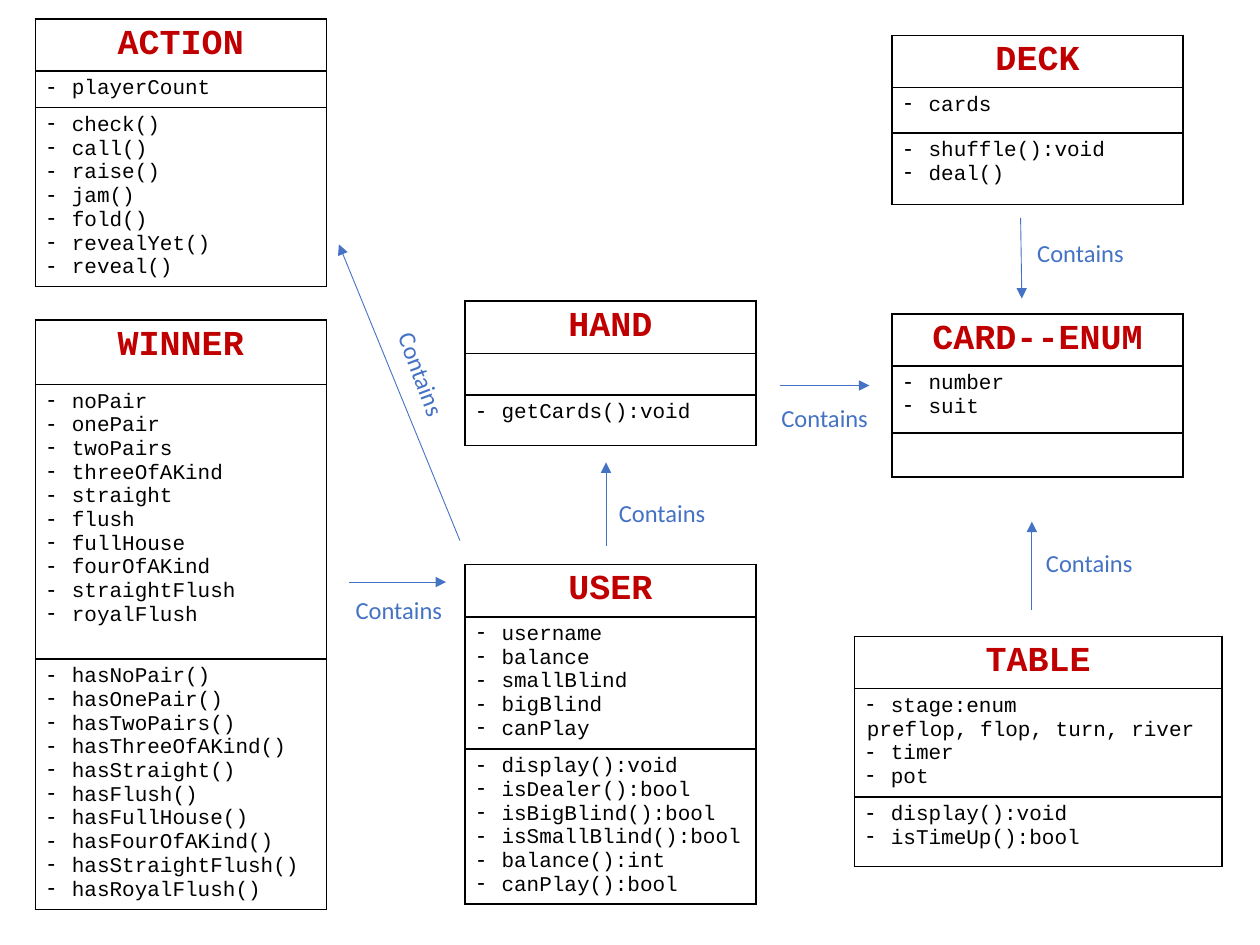
import lxml.etree
import pptx
import pptx.dml.color
import pptx.enum.shapes
import pptx.enum.text
import pptx.oxml.ns
import pptx.util

GRID_COLUMNS, GRID_ROWS = 100, 75
SLIDE_WIDTH = pptx.util.Inches(10)
SLIDE_HEIGHT = pptx.util.Inches(7.5)

BLACK = pptx.dml.color.RGBColor(0x00, 0x00, 0x00)
WHITE = pptx.dml.color.RGBColor(0xFF, 0xFF, 0xFF)
RED = pptx.dml.color.RGBColor(0xC0, 0x00, 0x00)
BLUE = pptx.dml.color.RGBColor(0x44, 0x72, 0xC4)

CLASS_NAME = {"name": "Courier New", "size": pptx.util.Pt(20), "bold": True}
MEMBER = {"name": "Courier New", "size": pptx.util.Pt(12), "bold": False}
RELATION = {"name": "Calibri", "size": pptx.util.Pt(14)}
LABEL_FRAME = {
    "margin_left": pptx.util.Inches(0.1),
    "margin_right": pptx.util.Inches(0.1),
    "margin_top": pptx.util.Inches(0.05),
    "margin_bottom": pptx.util.Inches(0.05),
    "word_wrap": False,
    "auto_size": pptx.enum.text.MSO_AUTO_SIZE.SHAPE_TO_FIT_TEXT,
}
PLAIN_TABLE = {"first_row": False, "horz_banding": False}

NAME_ROW = 4.1
CLASS_WIDTH = 23.1
LABEL_WIDTH, LABEL_HEIGHT = 8.9, 3.4
INDENT = pptx.util.Inches(0.19)
UNBULLETED = {"preflop, flop, turn, river"}

CLASSES = [
    ("USER", (36.9, 44.8, CLASS_WIDTH), (10.5, 12.3),
     ["username", "balance", "smallBlind", "bigBlind", "canPlay"],
     ["display():void", "isDealer():bool", "isBigBlind():bool",
      "isSmallBlind():bool", "balance():int", "canPlay():bool"]),
    ("CARD--ENUM", (70.8, 24.9, CLASS_WIDTH), (5.3, 3.5),
     ["number", "suit"], []),
    ("DECK", (70.8, 2.8, CLASS_WIDTH), (3.6, 5.7),
     ["cards"], ["shuffle():void", "deal()"]),
    ("WINNER", (2.8, 25.4, CLASS_WIDTH, 5.1), (21.8, 19.9),
     ["noPair", "onePair", "twoPairs", "threeOfAKind", "straight", "flush",
      "fullHouse", "fourOfAKind", "straightFlush", "royalFlush"],
     ["hasNoPair()", "hasOnePair()", "hasTwoPairs()", "hasThreeOfAKind()",
      "hasStraight()", "hasFlush()", "hasFullHouse()", "hasFourOfAKind()",
      "hasStraightFlush()", "hasRoyalFlush()"]),
    ("HAND", (36.9, 23.9, CLASS_WIDTH), (3.3, 4),
     [], ["getCards():void"]),
    ("ACTION", (2.8, 1.5, CLASS_WIDTH), (2.9, 14.2),
     ["playerCount"],
     ["check()", "call()", "raise()", "jam()", "fold()", "revealYet()",
      "reveal()"]),
    ("TABLE", (67.8, 50.5, 29.2), (8.6, 5.5),
     ["stage:enum", "preflop, flop, turn, river", "timer", "pot"],
     ["display():void", "isTimeUp():bool"]),
]

RELATIONS = [
    ((81, 17.3), (81.1, 23.7), (81.3, 18.4), 0),
    ((81.9, 48.4), (81.9, 41.4), (82, 43), 0),
    ((48.1, 43.3), (48.1, 36.7), (48.1, 39), 0),
    ((61.9, 30.6), (69, 30.6), (61, 31.5), 0),
    ((36.5, 42.9), (26.9, 19.4), (29, 28), 69.5),
    ((27.7, 46.2), (35.4, 46.2), (27.2, 46.7), 0),
]


def columns(count):
    """Return the width of a number of grid columns."""
    return round(SLIDE_WIDTH * count / GRID_COLUMNS)


def rows(count):
    """Return the height of a number of grid rows."""
    return round(SLIDE_HEIGHT * count / GRID_ROWS)


def apply(target, formats):
    """Set each attribute named in a dict of format values."""
    for attribute, setting in formats.items():
        setattr(target, attribute, setting)


def add_element(parent, tag, **attributes):
    """Append a DrawingML element to its parent."""
    return lxml.etree.SubElement(parent, pptx.oxml.ns.qn(tag), **attributes)


def write_run(paragraph, wording, formats, color):
    """Add a formatted run to a paragraph."""
    run = paragraph.add_run()
    run.text = wording
    apply(run.font, formats)
    run.font.color.rgb = color


def frame_cell(cell):
    """Give a table cell a thin black frame and a white fill."""
    properties = cell._tc.get_or_add_tcPr()
    for side in ("a:lnL", "a:lnR", "a:lnT", "a:lnB"):
        edge = add_element(properties, side, w=str(pptx.util.Pt(1)))
        add_element(add_element(edge, "a:solidFill"), "a:srgbClr", val=str(BLACK))
    cell.fill.solid()
    cell.fill.fore_color.rgb = WHITE


def list_members(cell, members):
    """Write the members of a class as a dashed list."""
    first = cell.text_frame.paragraphs[0]
    if not members:
        add_element(first._p, "a:endParaRPr", sz="1200")
    for index, member in enumerate(members):
        paragraph = cell.text_frame.add_paragraph() if index else first
        if member not in UNBULLETED:
            properties = paragraph._p.get_or_add_pPr()
            properties.set("marL", str(INDENT))
            properties.set("indent", str(-INDENT))
            add_element(properties, "a:buFontTx")
            add_element(properties, "a:buChar", char="-")
        write_run(paragraph, member, MEMBER, BLACK)


def draw_class(slide, name, box, member_rows, fields, methods):
    """Draw a class as a table of name, fields and methods."""
    left, top, width, name_row = (*box, NAME_ROW)[:4]
    heights = (name_row, *member_rows)
    table = slide.shapes.add_table(
        len(heights), 1, columns(left), rows(top), columns(width), rows(sum(heights))
    ).table
    apply(table, PLAIN_TABLE)
    for row, height in zip(table.rows, heights):
        row.height = rows(height)
        frame_cell(row.cells[0])
    heading = table.cell(0, 0).text_frame.paragraphs[0]
    heading.alignment = pptx.enum.text.PP_ALIGN.CENTER
    write_run(heading, name, CLASS_NAME, RED)
    list_members(table.cell(1, 0), fields)
    list_members(table.cell(2, 0), methods)


def draw_relation(slide, start, end, corner, rotation):
    """Draw an arrow between two classes with its label."""
    arrow = slide.shapes.add_connector(
        pptx.enum.shapes.MSO_CONNECTOR.STRAIGHT,
        columns(start[0]), rows(start[1]), columns(end[0]), rows(end[1]),
    )
    arrow.line.color.rgb = BLUE
    arrow.line.width = pptx.util.Pt(0.5)
    add_element(arrow.line._get_or_add_ln(), "a:tailEnd", type="triangle")
    add_element(arrow._element.spPr, "a:effectLst")
    label = slide.shapes.add_textbox(
        columns(corner[0]), rows(corner[1]), columns(LABEL_WIDTH), rows(LABEL_HEIGHT)
    )
    label.rotation = rotation
    apply(label.text_frame, LABEL_FRAME)
    wording = label.text_frame.paragraphs[0]
    wording.alignment = pptx.enum.text.PP_ALIGN.CENTER
    write_run(wording, "Contains", RELATION, BLUE)


def main():
    """Build the class diagram and save it."""
    presentation = pptx.Presentation()
    presentation.slide_width = SLIDE_WIDTH
    presentation.slide_height = SLIDE_HEIGHT
    slide = presentation.slides.add_slide(presentation.slide_layouts[6])
    for class_entry in CLASSES:
        draw_class(slide, *class_entry)
    for relation in RELATIONS:
        draw_relation(slide, *relation)
    presentation.save("out.pptx")


if __name__ == "__main__":
    main()
